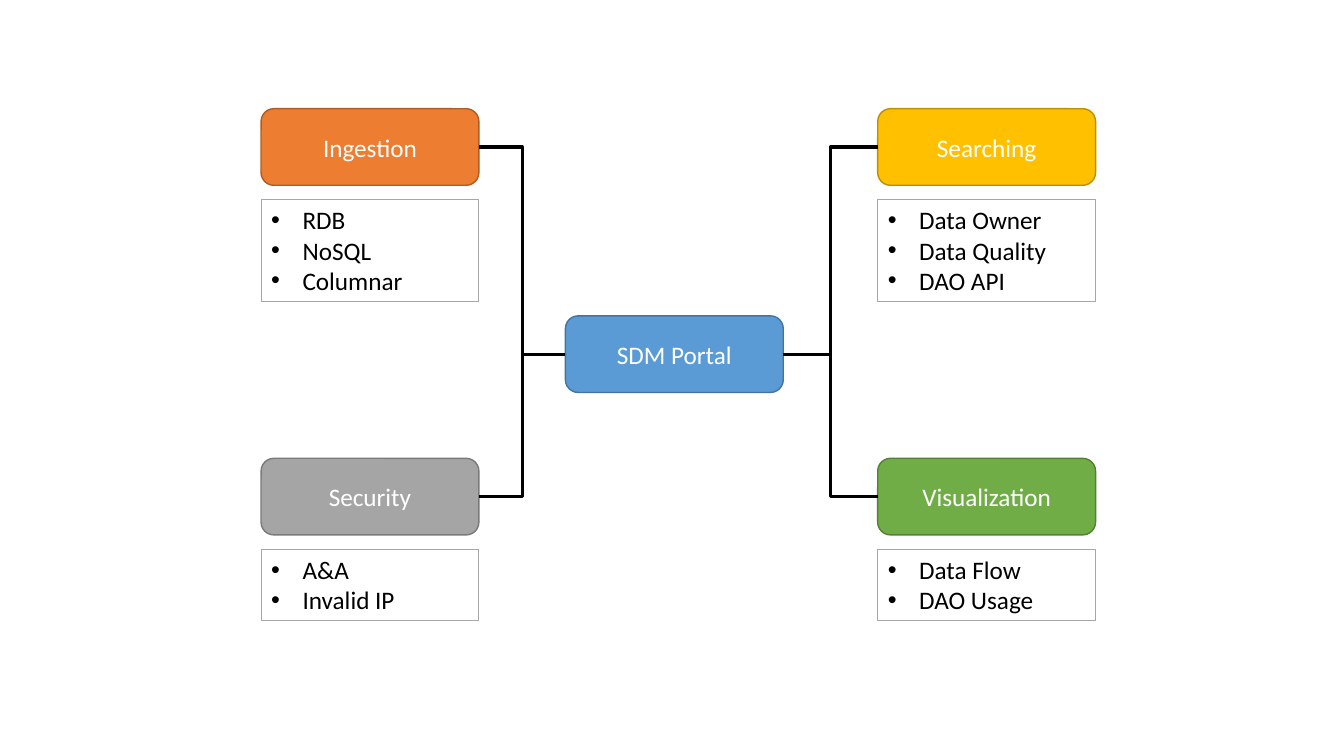
import dataclasses

import lxml.etree
import pptx
import pptx.dml.color
import pptx.enum.shapes
import pptx.enum.text
import pptx.oxml.ns
import pptx.util

Cm, Pt = pptx.util.Cm, pptx.util.Pt
RGB = pptx.dml.color.RGBColor.from_string
qn = pptx.oxml.ns.qn
MSO_SHAPE = pptx.enum.shapes.MSO_SHAPE
TEXT = pptx.enum.text


@dataclasses.dataclass(frozen=True)
class Theme:
    font: str = "Calibri"
    size: float = 18
    light: str = "FFFFFF"
    dark: str = "000000"
    list_line: str = "A6A6A6"
    # fill and outline of each box
    blue: tuple = ("5B9BD5", "43739E")
    orange: tuple = ("ED7D31", "AF5C24")
    gold: tuple = ("FFC000", "BD8E00")
    grey: tuple = ("A5A5A5", "7A7A7A")
    green: tuple = ("70AD47", "538035")
    box_width: float = 1
    list_width: float = 0.75
    link_width: float = 2.25


def set_all(obj, values):
    for name, value in values.items():
        setattr(obj, name, value)


class Diagram:
    """Holds the theme and the slide being drawn."""

    def __init__(self, slide, theme):
        self.s, self.theme = slide, theme

    def style_line(self, line, color, width):
        line.color.rgb = RGB(color)
        line.width = Pt(width)

    def style_run(self, p, text, color):
        r = p.add_run()
        r.text = text
        set_all(r.font, {"name": self.theme.font, "size": Pt(self.theme.size), "bold": False})
        r.font.color.rgb = RGB(color)

    def box(self, text, colors, left, top, width, height):
        sp = self.s.shapes.add_shape(MSO_SHAPE.ROUNDED_RECTANGLE,
                                     Cm(left), Cm(top), Cm(width), Cm(height))
        sp.shadow.inherit = False
        sp.fill.solid()
        sp.fill.fore_color.rgb = RGB(colors[0])
        self.style_line(sp.line, colors[1], self.theme.box_width)
        sp.text_frame.vertical_anchor = TEXT.MSO_ANCHOR.MIDDLE
        p = sp.text_frame.paragraphs[0]
        p.alignment = TEXT.PP_ALIGN.CENTER
        self.style_run(p, text, self.theme.light)
        return sp

    def bullets(self, sp, items, left, top, width, height):
        set_all(sp, {"left": Cm(left), "top": Cm(top), "width": Cm(width), "height": Cm(height)})
        self.style_line(sp.line, self.theme.list_line, self.theme.list_width)
        tf = sp.text_frame
        set_all(tf, {"word_wrap": True, "vertical_anchor": TEXT.MSO_ANCHOR.TOP,
                     "auto_size": TEXT.MSO_AUTO_SIZE.NONE})
        for i, item in enumerate(items):
            p = tf.add_paragraph() if i else tf.paragraphs[0]
            set_all(p, {"alignment": TEXT.PP_ALIGN.LEFT, "line_spacing": 1.0,
                        "space_before": Pt(0), "space_after": Pt(0)})
            pPr = p._p.get_or_add_pPr()
            pPr.set("marL", str(Cm(0.79)))
            pPr.set("indent", str(-Cm(0.79)))
            lxml.etree.SubElement(pPr, qn("a:buFont")).set("typeface", "Arial")
            lxml.etree.SubElement(pPr, qn("a:buChar")).set("char", "•")
            self.style_run(p, item, self.theme.dark)

    def link(self, start, start_site, end, end_site):
        c = self.s.shapes.add_connector(pptx.enum.shapes.MSO_CONNECTOR.ELBOW, 0, 0, 0, 0)
        c.begin_connect(start, start_site)
        c.end_connect(end, end_site)
        self.style_line(c.line, self.theme.dark, self.theme.link_width)
        lxml.etree.SubElement(c._element.spPr, qn("a:effectLst"))


# Grid, in centimetres
BOX_W, BOX_H = 5.49, 1.93
LEFT, RIGHT = 6.58, 22.12
UPPER, LOWER = 2.74, 11.55
LIST_DROP = 2.29
LINE_H, LIST_PAD = 0.76, 0.28
SITE_LEFT, SITE_RIGHT = 1, 3


def main():
    prs = pptx.Presentation()
    set_all(prs, {"slide_width": Cm(33.87), "slide_height": Cm(19.05)})
    s = prs.slides.add_slide(prs.slide_layouts.get_by_name("Comparison"))
    title = s.shapes.title._element
    title.getparent().remove(title)

    theme = Theme()
    diagram = Diagram(s, theme)
    modules = [
        ("Ingestion", theme.orange, LEFT, UPPER, ["RDB", "NoSQL", "Columnar"]),
        ("Searching", theme.gold, RIGHT, UPPER, ["Data Owner", "Data Quality", "DAO API"]),
        ("Security", theme.grey, LEFT, LOWER, ["A&A", "Invalid IP"]),
        ("Visualization", theme.green, RIGHT, LOWER, ["Data Flow", "DAO Usage"]),
    ]

    # Central box
    hub = diagram.box("SDM Portal", theme.blue, 14.25, 7.96, BOX_W, BOX_H)

    # Modules, each with its list and its link to the centre
    for body, (name, colors, left, top, items) in zip(list(s.placeholders), modules):
        module = diagram.box(name, colors, left, top, BOX_W, BOX_H)
        diagram.bullets(body, items, left, top + LIST_DROP, BOX_W,
                        LINE_H * len(items) + LIST_PAD)
        inner, outer = (SITE_RIGHT, SITE_LEFT) if left == LEFT else (SITE_LEFT, SITE_RIGHT)
        diagram.link(module, inner, hub, outer)

    prs.save("out.pptx")


if __name__ == "__main__":
    main()
